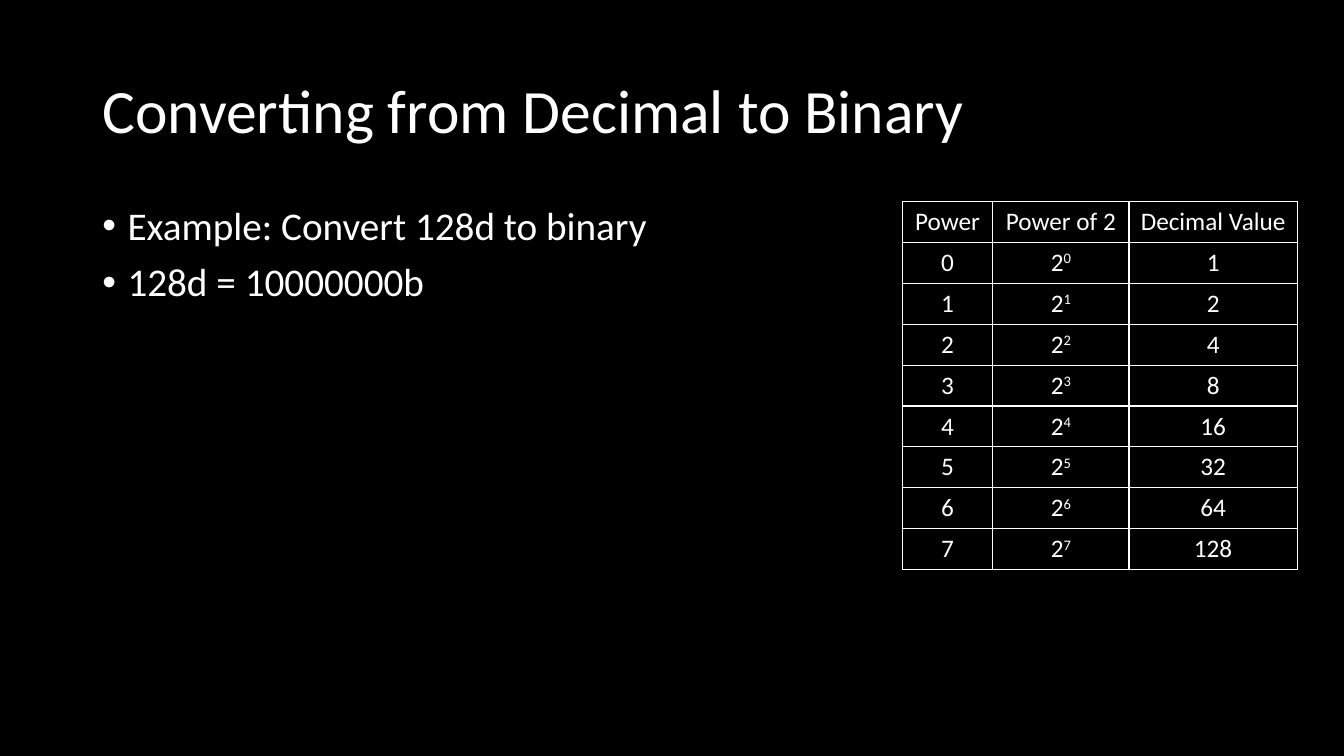
from dataclasses import dataclass

from lxml.etree import SubElement
from pptx import Presentation
from pptx.dml.color import RGBColor
from pptx.enum.text import MSO_ANCHOR, PP_ALIGN
from pptx.oxml.ns import qn
from pptx.util import Pt


@dataclass(frozen=True)
class Theme:
    background: str = "000000"
    foreground: str = "FFFFFF"
    font: str = "Calibri"
    title_size: int = 44
    body_size: int = 28
    table_size: int = 18
    border_width: int = 1


THEME = Theme()


def format_runs(paragraph, size):
    for run in paragraph.runs:
        run.font.name = THEME.font
        run.font.size = Pt(size)
        run.font.color.rgb = RGBColor.from_string(THEME.foreground)


def add_title(slide, box, text):
    title = slide.shapes.title
    title.left, title.top, title.width, title.height = map(Pt, box)
    text_frame = title.text_frame
    text_frame.text = text
    text_frame.vertical_anchor = MSO_ANCHOR.MIDDLE
    paragraph = text_frame.paragraphs[0]
    paragraph.alignment = PP_ALIGN.LEFT
    paragraph.line_spacing = 0.9
    format_runs(paragraph, THEME.title_size)


def add_bullets(slide, box, lines):
    text_frame = slide.shapes.add_textbox(*map(Pt, box)).text_frame
    text_frame.word_wrap = True
    text_frame.text = "\n".join(lines)
    for paragraph in text_frame.paragraphs:
        paragraph.line_spacing = 0.9
        paragraph.space_before = Pt(10)
        format_runs(paragraph, THEME.body_size)
        # Hanging bullet
        properties = paragraph._p.get_or_add_pPr()
        properties.set("marL", str(Pt(18)))
        properties.set("indent", str(-Pt(18)))
        SubElement(properties, qn("a:buFont"), typeface="Arial")
        SubElement(properties, qn("a:buChar"), char="•")


def add_borders(cell):
    properties = cell._tc.get_or_add_tcPr()
    for side in ("lnL", "lnR", "lnT", "lnB"):
        line = SubElement(properties, qn(f"a:{side}"), w=str(Pt(THEME.border_width)))
        fill = SubElement(line, qn("a:solidFill"))
        SubElement(fill, qn("a:srgbClr"), val=THEME.foreground)


def fill_cell(cell, text, exponent=None):
    paragraph = cell.text_frame.paragraphs[0]
    paragraph.text = text
    paragraph.alignment = PP_ALIGN.CENTER
    if exponent is not None:
        superscript = paragraph.add_run()
        superscript.text = exponent
        superscript.font._element.set("baseline", "30000")
    format_runs(paragraph, THEME.table_size)
    add_borders(cell)
    cell.fill.solid()
    cell.fill.fore_color.rgb = RGBColor.from_string(THEME.background)


def add_powers_table(slide, box, column_widths, headers, powers):
    row_count = len(powers) + 1
    table = slide.shapes.add_table(row_count, len(headers), *map(Pt, box)).table
    table.first_row = table.horz_banding = False
    for column, width in zip(table.columns, column_widths):
        column.width = Pt(width)
    for row in table.rows:
        row.height = Pt(box[3] / row_count)
    for index, header in enumerate(headers):
        fill_cell(table.cell(0, index), header)
    for row_index, power in enumerate(powers, start=1):
        fill_cell(table.cell(row_index, 0), str(power))
        fill_cell(table.cell(row_index, 1), "2", exponent=str(power))
        fill_cell(table.cell(row_index, 2), str(2 ** power))


def build_conversion_slide(presentation):
    slide = presentation.slides.add_slide(presentation.slide_layouts[5])
    background = slide.background.fill
    background.solid()
    background.fore_color.rgb = RGBColor.from_string(THEME.background)
    add_title(slide, (66, 28.8, 828, 104.4), "Converting from Decimal to Binary")
    add_bullets(slide, (66, 144, 860.4, 384.5),
                ["Example: Convert 128d to binary", "128d = 10000000b"])
    add_powers_table(slide, (644.4, 144, 282.3, 262.8), (64.8, 97.2, 120.3),
                     ("Power", "Power of 2", "Decimal Value"), range(8))


presentation = Presentation()
presentation.slide_width, presentation.slide_height = Pt(960), Pt(540)
build_conversion_slide(presentation)
presentation.save("out.pptx")
